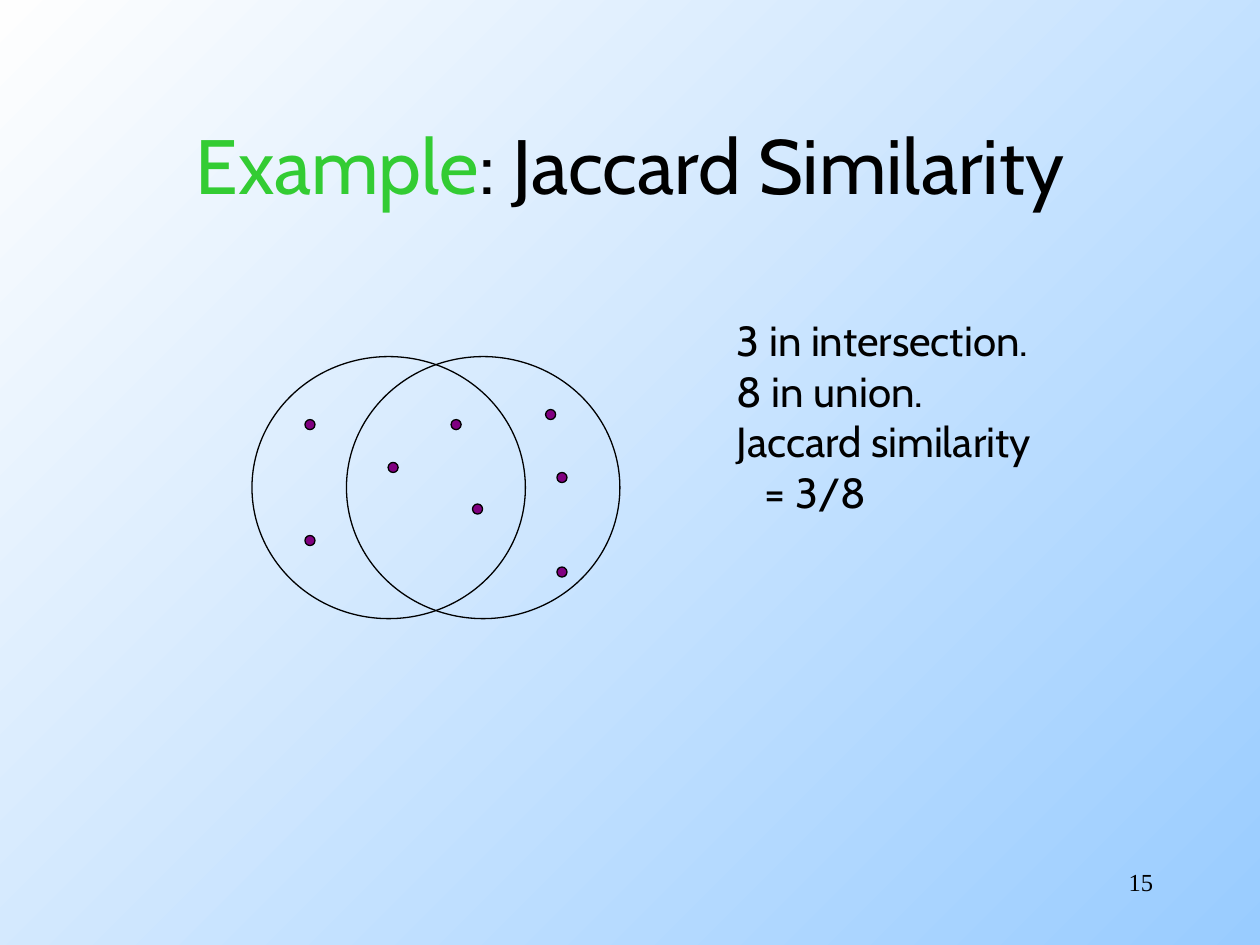
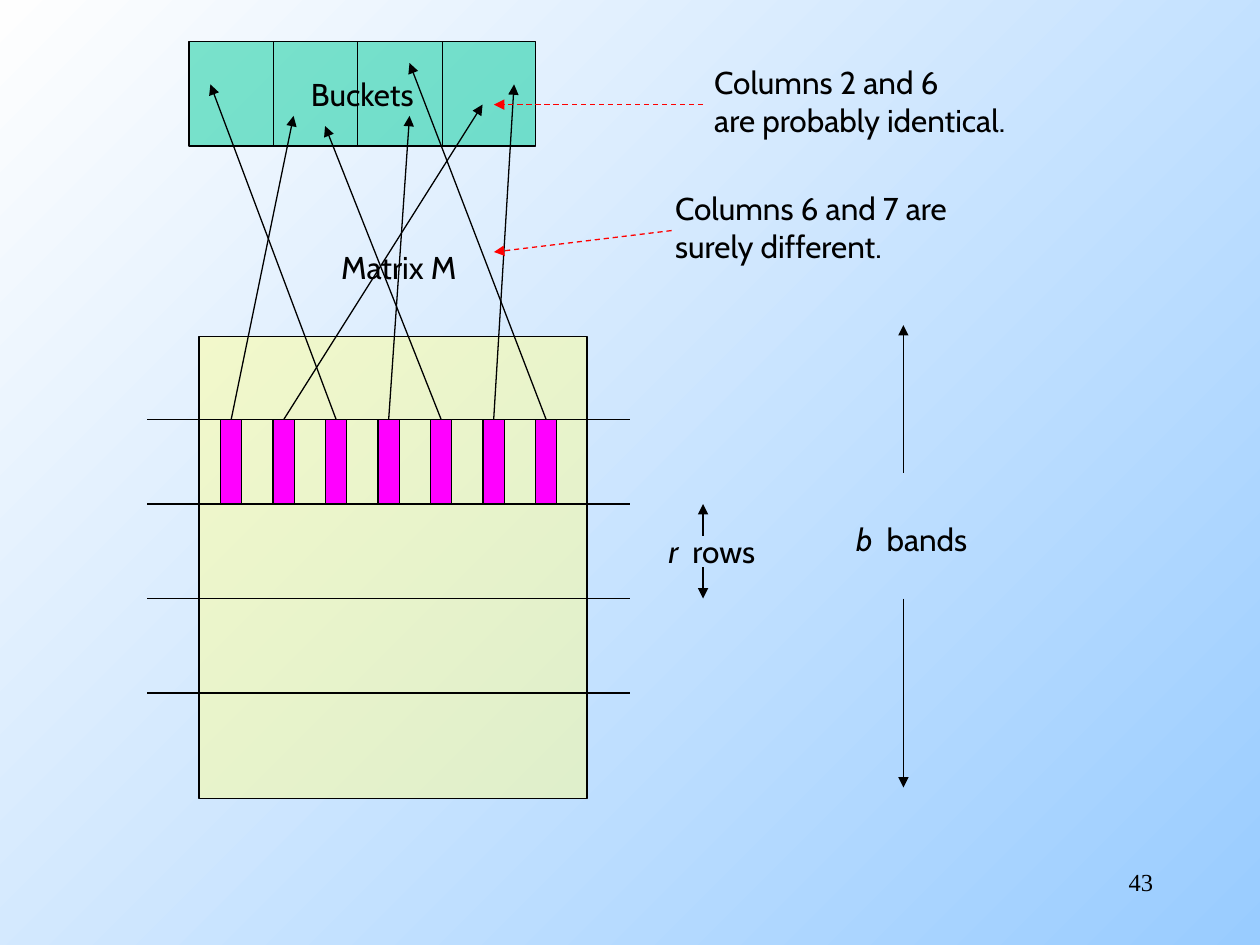
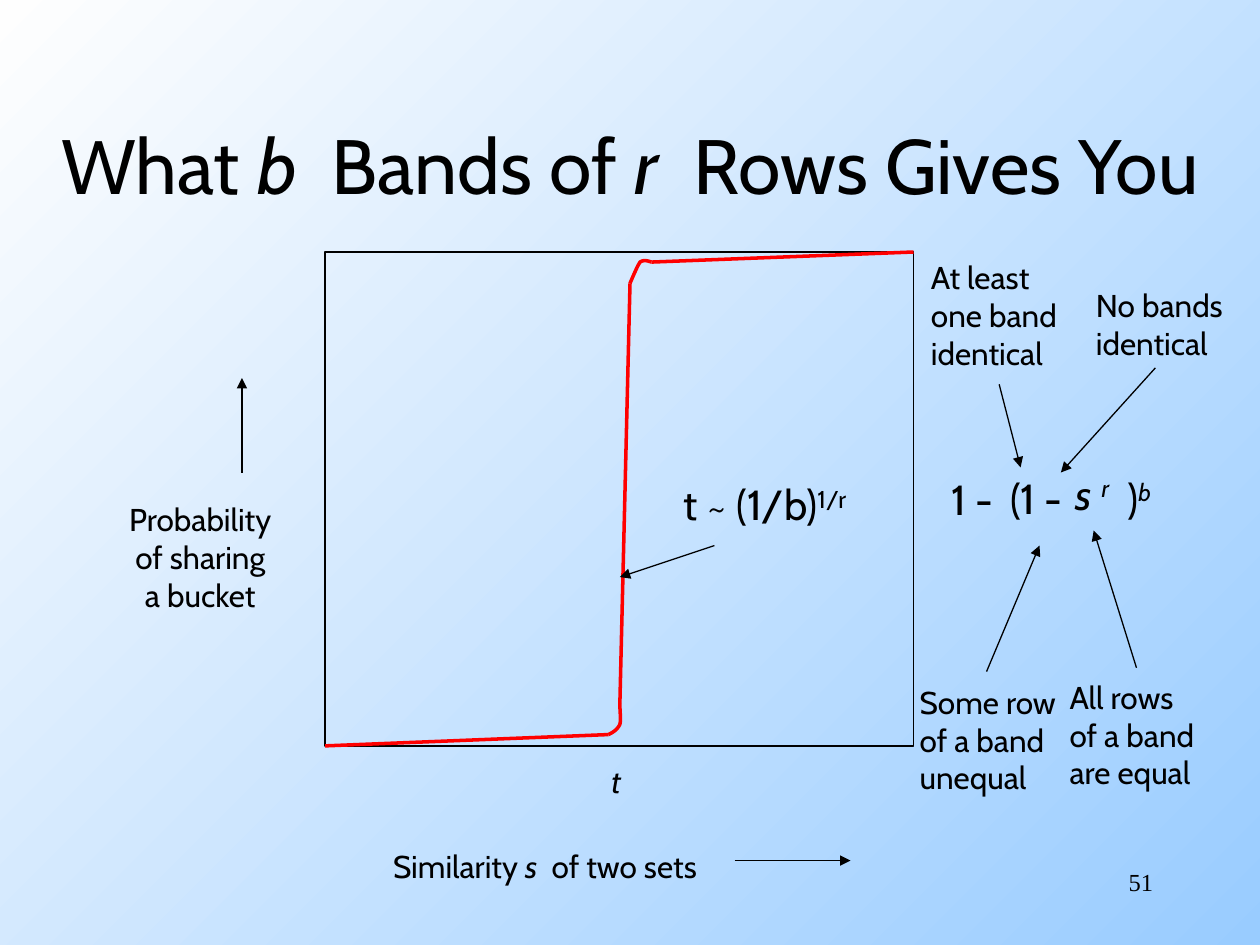
from pptx import Presentation
from pptx.dml.color import RGBColor
from pptx.enum.dml import MSO_LINE
from pptx.enum.shapes import MSO_CONNECTOR, MSO_SHAPE
from pptx.enum.text import MSO_ANCHOR, MSO_AUTO_SIZE, PP_ALIGN
from pptx.oxml.ns import qn
from pptx.util import Inches, Pt
from lxml import etree

OVAL, RECTANGLE = MSO_SHAPE.OVAL, MSO_SHAPE.RECTANGLE
LEFT, CENTER, RIGHT = PP_ALIGN.LEFT, PP_ALIGN.CENTER, PP_ALIGN.RIGHT

COLORS = {
    "ink": "000000", "accent": "33CC33", "red": "FF0000",
    "sky": "99CCFF", "white": "FEFEFE", "dot": "800080",
    "matrix": "FFFF99", "bucket": "00CC99", "column": "FF00FF",
}
BODY_FONT, NUMBER_FONT = "Cabin", "Times New Roman"
TITLE_SIZE, LARGE, SMALL, NUMBER_SIZE = 44, 24, 18, 14

# A paragraph is a string or a list of (text, style) runs.
# Styles: "" plain, "i" italic, "^" superscript, "i^" both, "accent" coloured.

# Jaccard example
JACCARD_TITLE = [("Example", "accent"), (": Jaccard Similarity", "")]
JACCARD_FACTS = ["3 in intersection.", "8 in union.", "Jaccard similarity", "= 3/8"]
SET_LEFTS = [2.75, 2]
SET_DOTS = [(2.42, 3.33), (2.42, 4.25), (3.08, 3.67), (3.75, 4),
            (3.58, 3.33), (4.42, 3.75), (4.42, 4.5), (4.33, 3.25)]
DOT_SIZE = 0.08

# Hashing bands into buckets
BAND_LINES = [3.33, 4, 4.75, 5.5]
COLUMN_LEFT, COLUMN_STEP, COLUMN_WIDTH = 1.75, 5 / 12, 0.17
BUCKET_LEFT, BUCKET_TOP, BUCKET_STEP, BUCKET_HEIGHT = 1.5, 0.33, 0.67, 0.83
BUCKET_HITS = [(2.33, 0.92), (3.83, 0.83), (1.67, 0.67), (3.25, 0.92),
               (2.58, 1), (4.08, 0.67), (3.25, 0.5)]  # one per column
EXTENT_ARROWS = [((5.58, 4.25), (5.58, 4)), ((5.58, 4.5), (5.58, 4.75)),
                 ((7.17, 3.75), (7.17, 2.58)), ((7.17, 4.75), (7.17, 6.25))]
MATRIX_LABELS = [
    ((2.54, 1.92, 1.25, 0.4), ["Matrix M"]),
    ((5.15, 4.17, 1, 0.4), [[("r ", "i"), (" rows", "")]]),
    ((6.64, 4.08, 1.19, 0.4), [[("b ", "i"), (" bands", "")]]),
]
COLUMN_REMARKS = [
    ((5.57, 0.45, 2.82, 0.7), ["Columns 2 and 6", "are probably identical."],
     (5.58, 0.83), (3.92, 0.83)),
    ((5.26, 1.45, 2.61, 0.7), ["Columns 6 and 7 are", "surely different."],
     (5.33, 1.83), (3.92, 2)),
]

# Probability curve
CURVE_TITLE = [("What ", ""), ("b ", "i"), (" Bands of ", ""),
               ("r ", "i"), (" Rows Gives You", "")]
AXIS_LABELS = [
    ((2.89, 6.67, 2.87, 0.4), [[("Similarity ", ""), ("s ", "i"), (" of two sets", "")]]),
    ((0.86, 3.92, 1.46, 1), ["Probability", "of sharing", "a bucket"]),
    ((4.75, 6, 0.28, 0.4), [[("t", "i")]]),
]
AXIS_ARROWS = [((5.83, 6.83), (6.75, 6.83)), ((1.92, 3.75), (1.92, 3))]
CURVE_LINES = [((2.58, 5.92), (4.83, 5.83)), ((4.92, 5.58), (5, 2.25)),
               ((5.17, 2.08), (7.25, 2))]
# Start point, then groups of two control points and an end point
CURVE_BENDS = [
    [(4.83, 5.83), (4.87, 5.81), (4.9, 5.79), (4.92, 5.75),
     (4.93, 5.71), (4.92, 5.65), (4.92, 5.58)],
    [(5, 2.25), (5.03, 2.18), (5.06, 2.11), (5.08, 2.08),
     (5.11, 2.06), (5.14, 2.07), (5.17, 2.08)],
]
FORMULA_PARTS = [
    ((8.44, 3.67, 0.56, 0.5), [("s ", "i"), ("r", "i^")]),
    ((8, 3.7, 0.58, 0.5), "1 -"),
    ((7.92, 3.7, 0.3, 0.5), "("),
    ((8.85, 3.7, 0.46, 0.5), [(")", ""), ("b", "i^")]),
    ((7.45, 3.71, 0.58, 0.5), "1 -"),
    ((5.33, 3.75, 1.71, 0.5), [("t ~ (1/b)", ""), ("1/r", "^")]),
]
FORMULA_NOTES = [
    ((8.39, 5.33, 1.31, 1), ["All rows", "of a band", "are equal"]),
    ((7.2, 5.37, 1.38, 1), ["Some row", "of a band", "unequal"]),
    ((8.6, 2.22, 1.33, 0.7), ["No bands", "identical"]),
    ((7.29, 2, 1.31, 1), ["At least", "one band", "identical"]),
]
FORMULA_ARROWS = [((9.02, 5.3), (8.68, 4.21)), ((7.83, 5.33), (8.25, 4.33)),
                  ((9.17, 2.92), (8.42, 3.75)), ((7.93, 3.05), (8.1, 3.71)),
                  ((5.67, 4.33), (4.92, 4.58))]


def rgb(name):
    return RGBColor.from_string(COLORS[name])


def inches(values):
    return [Inches(value) for value in values]


def write_text(text_frame, paragraphs, size, align, font_name=BODY_FONT):
    for index, content in enumerate(paragraphs):
        paragraph = text_frame.paragraphs[0] if index == 0 else text_frame.add_paragraph()
        paragraph.alignment = align
        runs = [(content, "")] if isinstance(content, str) else content
        for text, style in runs:
            run = paragraph.add_run()
            run.text = text
            run.font.name = font_name
            run.font.size = Pt(size)
            run.font.color.rgb = rgb("accent" if style == "accent" else "ink")
            run.font.italic = style.startswith("i")
            if style.endswith("^"):
                run.font._element.set("baseline", "30000")


def add_label(slide, box, paragraphs, size=SMALL, align=LEFT):
    """Add a text box that fits its unwrapped text."""
    label = slide.shapes.add_textbox(*inches(box))
    label.text_frame.word_wrap = False
    label.text_frame.auto_size = MSO_AUTO_SIZE.SHAPE_TO_FIT_TEXT
    write_text(label.text_frame, paragraphs, size, align)
    return label


def add_title(slide, runs, left=0.75):
    title = slide.shapes.add_textbox(*inches((left, 0.67, 10 - 2 * left, 1.25)))
    title.text_frame.word_wrap = True
    title.text_frame.vertical_anchor = MSO_ANCHOR.MIDDLE
    write_text(title.text_frame, [runs], TITLE_SIZE, CENTER)


def style_line(line, color="ink", width=0.75):
    line.color.rgb = rgb(color)
    line.width = Pt(width)


def add_figure(slide, kind, box, fill=None, opacity=100):
    shape = slide.shapes.add_shape(kind, *inches(box))
    shape.shadow.inherit = False
    style_line(shape.line)
    if fill is None:
        shape.fill.background()
        return shape
    shape.fill.solid()
    shape.fill.fore_color.rgb = rgb(fill)
    if opacity < 100:
        color = shape.element.spPr.find(qn("a:solidFill"))[0]
        etree.SubElement(color, qn("a:alpha")).set("val", str(opacity * 1000))
    return shape


def add_line(slide, start, end, color="ink", width=0.75, arrow=False, dashed=False):
    connector = slide.shapes.add_connector(MSO_CONNECTOR.STRAIGHT, *inches(start + end))
    style_line(connector.line, color, width)
    if dashed:
        connector.line.dash_style = MSO_LINE.DASH
    properties = connector.element.spPr
    if arrow:
        outline = properties.find(qn("a:ln"))
        etree.SubElement(outline, qn("a:tailEnd")).set("type", "triangle")
    etree.SubElement(properties, qn("a:effectLst"))


def add_arrows(slide, arrows):
    for start, end in arrows:
        add_line(slide, start, end, arrow=True)


def bezier(points, steps=8):
    """Sample one cubic segment, leaving out its start point."""
    for step in range(1, steps + 1):
        t = step / steps
        weights = ((1 - t) ** 3, 3 * t * (1 - t) ** 2, 3 * t * t * (1 - t), t ** 3)
        yield tuple(Inches(sum(weight * point[axis] for weight, point in zip(weights, points)))
                    for axis in (0, 1))


def add_bend(slide, points):
    builder = slide.shapes.build_freeform(*inches(points[0]))
    for first in range(0, len(points) - 1, 3):
        builder.add_line_segments(bezier(points[first:first + 4]), close=False)
    bend = builder.convert_to_shape()
    bend.shadow.inherit = False
    bend.fill.background()
    style_line(bend.line, "red", 2)


def add_slide(presentation, number):
    """Add a blank slide with the shared gradient and its number."""
    slide = presentation.slides.add_slide(presentation.slide_layouts[6])
    fill = slide.background.fill
    fill.gradient()
    fill.gradient_angle = 135
    for stop, color in zip(fill.gradient_stops, ("sky", "white")):
        stop.color.rgb = rgb(color)
    footer = slide.shapes.add_textbox(*inches((7.17, 6.83, 2.08, 0.5)))
    footer.text_frame.word_wrap = True
    write_text(footer.text_frame, [str(number)], NUMBER_SIZE, RIGHT, NUMBER_FONT)
    return slide


def build_jaccard(presentation):
    slide = add_slide(presentation, 15)
    add_title(slide, JACCARD_TITLE)
    for left in SET_LEFTS:
        add_figure(slide, OVAL, (left, 2.83, 2.17, 2.08))
    for left, top in SET_DOTS:
        add_figure(slide, OVAL, (left, top, DOT_SIZE, DOT_SIZE), "dot")
    facts = add_label(slide, (5.75, 2.45, 2.84, 1.7), JACCARD_FACTS, LARGE)
    result = facts.text_frame.paragraphs[-1]
    result._p.get_or_add_pPr().set("marL", str(Inches(0.22)))


def build_buckets(presentation):
    slide = add_slide(presentation, 43)
    add_figure(slide, RECTANGLE, (1.58, 2.67, 3.08, 3.67), "matrix", 50)
    for box, paragraphs in MATRIX_LABELS:
        add_label(slide, box, paragraphs, align=CENTER)
    for y in BAND_LINES:
        add_line(slide, (1.17, y), (5, y))
    add_arrows(slide, EXTENT_ARROWS)

    band_top, band_bottom = BAND_LINES[:2]
    column_lefts = [COLUMN_LEFT + index * COLUMN_STEP for index in range(len(BUCKET_HITS))]
    for left in column_lefts:
        add_figure(slide, RECTANGLE,
                   (left, band_top, COLUMN_WIDTH, band_bottom - band_top), "column")

    buckets = add_figure(slide, RECTANGLE,
                         (BUCKET_LEFT, BUCKET_TOP, 2.75, BUCKET_HEIGHT), "bucket", 50)
    buckets.text_frame.word_wrap = False
    buckets.text_frame.vertical_anchor = MSO_ANCHOR.MIDDLE
    write_text(buckets.text_frame, ["Buckets"], SMALL, CENTER)
    for index in range(1, 4):
        x = BUCKET_LEFT + index * BUCKET_STEP
        add_line(slide, (x, BUCKET_TOP), (x, BUCKET_TOP + BUCKET_HEIGHT))

    add_arrows(slide, [((left + COLUMN_WIDTH / 2, band_top), hit)
                       for left, hit in zip(column_lefts, BUCKET_HITS)])
    for box, paragraphs, start, end in COLUMN_REMARKS:
        add_label(slide, box, paragraphs)
        add_line(slide, start, end, "red", arrow=True, dashed=True)


def build_curve(presentation):
    slide = add_slide(presentation, 51)
    add_title(slide, CURVE_TITLE, left=0)
    add_figure(slide, RECTANGLE, (2.58, 2, 4.67, 3.92))
    for box, paragraphs in AXIS_LABELS:
        add_label(slide, box, paragraphs, align=CENTER)
    add_arrows(slide, AXIS_ARROWS)
    for start, end in CURVE_LINES:
        add_line(slide, start, end, "red", 2)
    for points in CURVE_BENDS:
        add_bend(slide, points)
    for box, part in FORMULA_PARTS:
        add_label(slide, box, [part], LARGE)
    for box, paragraphs in FORMULA_NOTES:
        add_label(slide, box, paragraphs)
    add_arrows(slide, FORMULA_ARROWS)


def main():
    presentation = Presentation()
    presentation.slide_width, presentation.slide_height = Inches(10), Inches(7.5)
    build_jaccard(presentation)
    build_buckets(presentation)
    build_curve(presentation)
    presentation.save("out.pptx")


if __name__ == "__main__":
    main()
